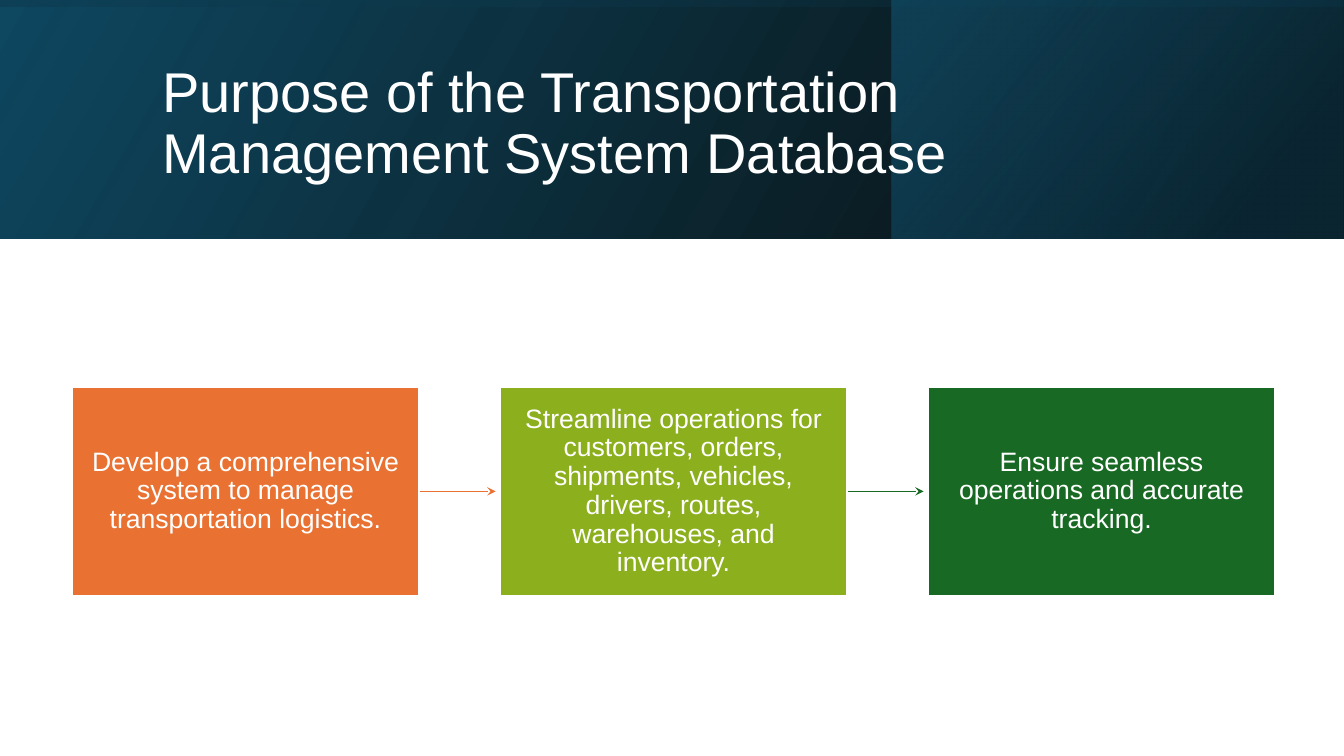
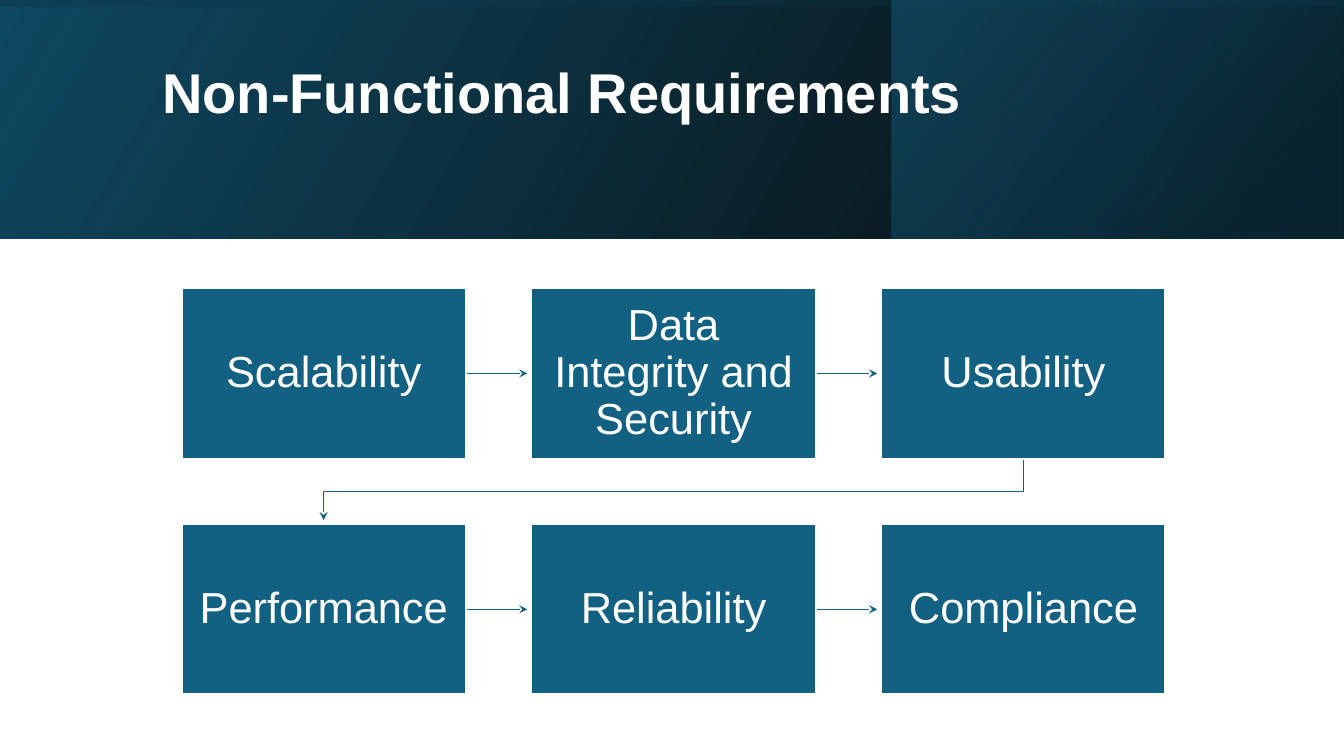
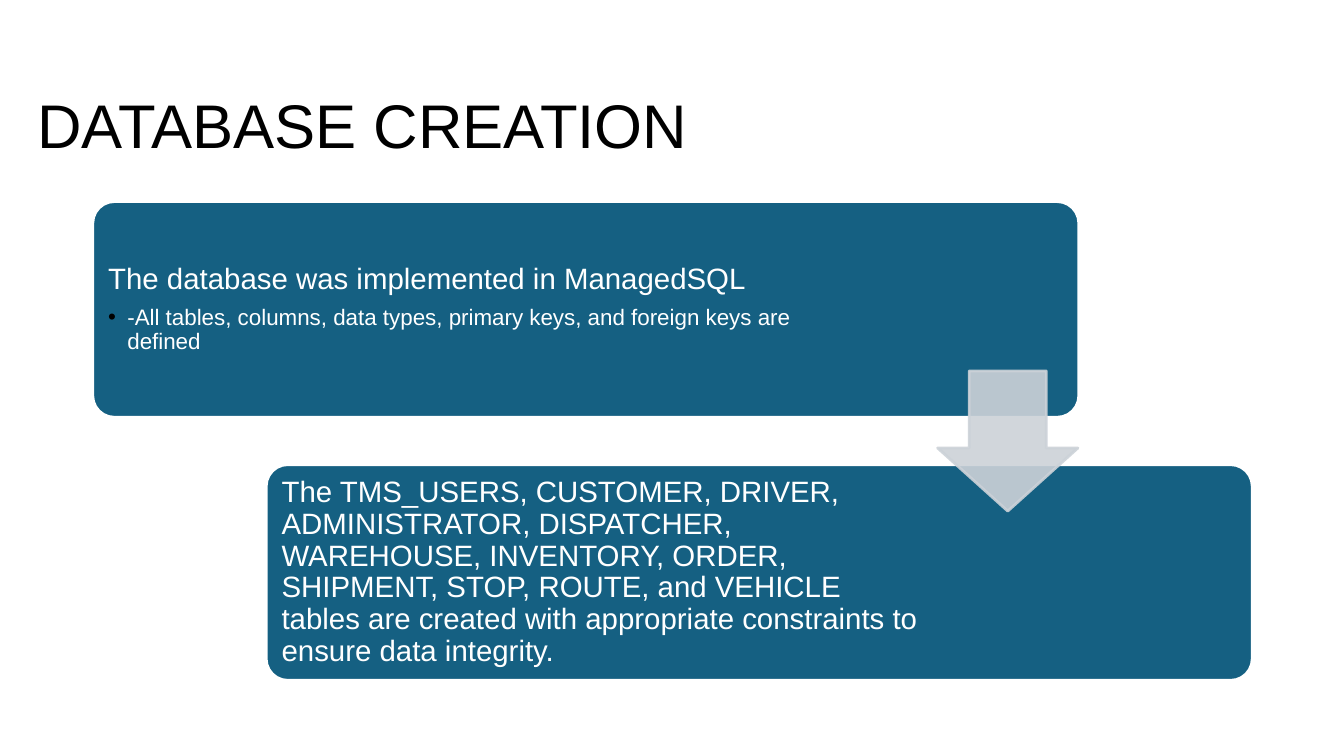
"""Build three slides about a transportation management database."""
from dataclasses import dataclass

from lxml.etree import SubElement
from pptx import Presentation
from pptx.dml.color import RGBColor
from pptx.enum.shapes import MSO_CONNECTOR as Conn, MSO_SHAPE as Shp
from pptx.enum.text import MSO_ANCHOR as Anchor, MSO_AUTO_SIZE as Fit, PP_ALIGN as Align
from pptx.oxml import parse_xml
from pptx.oxml.ns import nsdecls, qn
from pptx.util import Inches, Pt

FONT = "Arial"
WHITE = RGBColor(0xFF, 0xFF, 0xFF)
BLACK = RGBColor(0x00, 0x00, 0x00)
NAVY = RGBColor(0x0F, 0x48, 0x61)
DEEP = RGBColor(0x0A, 0x30, 0x41)
BLUE = RGBColor(0x15, 0x60, 0x82)
TEAL = RGBColor(0x12, 0x60, 0x82)
ORANGE = RGBColor(0xE9, 0x71, 0x31)
LIME = RGBColor(0x8C, 0xAF, 0x1D)
GREEN = RGBColor(0x18, 0x69, 0x23)
GREY = RGBColor(0xCC, 0xD2, 0xD8)
COLUMNS = 3
ARROW_GAP = 0.04


@dataclass(frozen=True)
class Box:
    left: float
    top: float
    width: float
    height: float

    def emu(self) -> list:
        return [Inches(v) for v in (self.left, self.top, self.width, self.height)]


@dataclass(frozen=True)
class Band:
    box: Box
    angle: int
    stops: tuple
    rotation: int = 0


@dataclass(frozen=True)
class Step:
    text: str
    fill: RGBColor = TEAL
    arrow: RGBColor = TEAL


@dataclass(frozen=True)
class Flow:
    first: Box
    span: float
    row_pitch: float
    size: int
    margins: tuple

    def cell(self, i: int) -> Box:
        row, col = divmod(i, COLUMNS)
        b = self.first
        pitch = (self.span - b.width) / (COLUMNS - 1)
        return Box(b.left + col * pitch, b.top + row * self.row_pitch, b.width, b.height)


@dataclass(frozen=True)
class Line:
    text: str
    size: int
    bullet: bool = False


@dataclass(frozen=True)
class Card:
    box: Box
    right_margin: float
    lines: tuple


BANDS = (
    Band(Box(0, 0, 13.33, 2.37), 330, ((0, BLACK, 96), (100, NAVY, 100))),
    Band(Box(8.84, 0, 4.48, 2.37), 320, ((0, DEEP, 68), (19, DEEP, 68), (100, BLUE, 48))),
    Band(Box(5.48, -5.48, 2.37, 13.33), 350,
         ((0, NAVY, 16), (23, NAVY, 16), (99, BLACK, 45), (100, BLACK, 45)), 270),
)
BAND_TITLE = Box(1.51, 0.38, 10.63, 1.72)

PURPOSE_FLOW = Flow(Box(0.71, 3.84, 3.45, 2.07), 11.94, 0, 19, (0.17, 0.18))
PURPOSES = (
    Step("Develop a comprehensive system to manage transportation logistics.", ORANGE, ORANGE),
    Step("Streamline operations for customers, orders, shipments, vehicles, drivers, "
         "routes, warehouses, and inventory.", LIME, GREEN),
    Step("Ensure seamless operations and accurate tracking.", GREEN),
)

REQUIREMENT_FLOW = Flow(Box(1.8, 2.86, 2.82, 1.69), 9.76, 2.34, 31, (0.14, 0.15))
REQUIREMENTS = tuple(Step(t) for t in (
    "Scalability", "Data Integrity and Security", "Usability",
    "Performance", "Reliability", "Compliance"))

CARDS = (
    Card(Box(0.92, 2, 9.78, 2.14), 2.19, (
        Line("The database was implemented in ManagedSQL", 21),
        Line("-All tables, columns, data types, primary keys, and foreign keys are defined",
             16, True))),
    Card(Box(2.64, 4.61, 9.78, 2.14), 3.22, (
        Line("The TMS_USERS, CUSTOMER, DRIVER, ADMINISTRATOR, DISPATCHER, WAREHOUSE, "
             "INVENTORY, ORDER, SHIPMENT, STOP, ROUTE, and VEHICLE tables are created with "
             "appropriate constraints to ensure data integrity.", 21),)),
)


def write(p, text: str, size: int, color: RGBColor, align=Align.LEFT, bold: bool = False) -> None:
    """Add one formatted run to a paragraph."""
    p.alignment = align
    p.line_spacing = 0.9
    r = p.add_run()
    r.text = text
    r.font.name = FONT
    r.font.size = Pt(size)
    r.font.bold = bold
    r.font.color.rgb = color


def set_frame(tf, left: float, top: float, right: float, bottom: float) -> None:
    """Set margins, wrapping and middle anchoring of a text frame."""
    tf.margin_left, tf.margin_top = Inches(left), Inches(top)
    tf.margin_right, tf.margin_bottom = Inches(right), Inches(bottom)
    tf.word_wrap = True
    tf.auto_size = Fit.NONE
    tf.vertical_anchor = Anchor.MIDDLE


def add_block(s, kind, box: Box, fill: RGBColor, line: RGBColor, width: float):
    """Add a filled and outlined preset shape."""
    sp = s.shapes.add_shape(kind, *box.emu())
    sp.shadow.inherit = False
    sp.fill.solid()
    sp.fill.fore_color.rgb = fill
    sp.line.color.rgb = line
    sp.line.width = Pt(width)
    return sp


def add_band(s, band: Band) -> None:
    """Add a mirrored translucent gradient band."""
    sp = s.shapes.add_shape(Shp.RECTANGLE, *band.box.emu())
    sp.shadow.inherit = False
    sp.line.fill.background()
    sp.rotation = band.rotation
    stops = "".join(
        f'<a:gs pos="{pos * 1000}"><a:srgbClr val="{color}">'
        f'<a:alpha val="{alpha * 1000}"/></a:srgbClr></a:gs>'
        for pos, color, alpha in band.stops)
    spPr = sp._element.spPr
    spPr.find(qn("a:xfrm")).set("flipH", "1")
    spPr.find(qn("a:prstGeom")).addnext(parse_xml(
        f'<a:gradFill {nsdecls("a")}><a:gsLst>{stops}</a:gsLst>'
        f'<a:lin ang="{band.angle * 60000}" scaled="0"/></a:gradFill>'))


def add_slide(prs, title: str, box: Box, size: int, color: RGBColor, bands: tuple = (),
              bold: bool = False, bottom: float = 0.05):
    """Add a slide with optional bands behind its title."""
    s = prs.slides.add_slide(prs.slide_layouts[5])
    for band in bands:
        add_band(s, band)
    sp = s.shapes.title
    s.shapes._spTree.append(sp._element)
    sp.left, sp.top, sp.width, sp.height = box.emu()
    set_frame(sp.text_frame, 0.1, 0.05, 0.1, bottom)
    write(sp.text_frame.paragraphs[0], title, size, color, bold=bold)
    return s


def style_arrow(sp, color: RGBColor) -> None:
    """Give a line its colour, width and arrowhead."""
    sp.line.color.rgb = color
    sp.line.width = Pt(1)
    SubElement(sp.line._get_or_add_ln(), qn("a:tailEnd"), type="stealth")


def add_arrow(s, start: Box, end: Box, color: RGBColor) -> None:
    """Join two neighbouring cells, or wrap from one row to the next."""
    if start.top == end.top:
        y = Inches(start.top + start.height / 2)
        sp = s.shapes.add_connector(Conn.STRAIGHT, Inches(start.left + start.width), y,
                                    Inches(end.left - ARROW_GAP), y)
        SubElement(sp._element.spPr, qn("a:effectLst"))
    else:
        x1, x2 = (Inches(b.left + b.width / 2) for b in (start, end))
        y1 = start.top + start.height
        mid = Inches((y1 + end.top) / 2)
        fb = s.shapes.build_freeform(x1, Inches(y1))
        fb.add_line_segments([(x1, mid), (x2, mid), (x2, Inches(end.top - ARROW_GAP))],
                             close=False)
        sp = fb.convert_to_shape()
        sp.shadow.inherit = False
        sp.fill.background()
    style_arrow(sp, color)


def add_flow(s, flow: Flow, steps: tuple) -> None:
    """Draw the steps in rows, each joined to the next."""
    for i, step in enumerate(steps):
        if i + 1 < len(steps):
            add_arrow(s, flow.cell(i), flow.cell(i + 1), step.arrow)
        sp = add_block(s, Shp.RECTANGLE, flow.cell(i), step.fill, WHITE, 1.5)
        set_frame(sp.text_frame, *flow.margins, *flow.margins)
        write(sp.text_frame.paragraphs[0], step.text, flow.size, WHITE, Align.CENTER)


def add_bullet(p) -> None:
    """Give a paragraph a black hanging bullet."""
    pPr = p._p.get_or_add_pPr()
    pPr.set("marL", str(Inches(0.19)))
    pPr.set("indent", str(-Inches(0.19)))
    SubElement(SubElement(pPr, qn("a:buClr")), qn("a:srgbClr"), val=str(BLACK))
    SubElement(pPr, qn("a:buFont"), typeface=FONT)
    SubElement(pPr, qn("a:buChar"), char="•")


def add_card(s, card: Card) -> None:
    """Draw a rounded card with its lines of text."""
    sp = add_block(s, Shp.ROUNDED_RECTANGLE, card.box, BLUE, WHITE, 2)
    sp.adjustments[0] = 0.1
    tf = sp.text_frame
    set_frame(tf, 0.09, 0.09, card.right_margin, 0.09)
    for i, line in enumerate(card.lines):
        p = tf.add_paragraph() if i else tf.paragraphs[0]
        if line.bullet:
            add_bullet(p)
        write(p, line.text, line.size, WHITE)
        if i + 1 < len(card.lines):
            p.space_after = Pt(7)


def add_down_arrow(s, box: Box) -> None:
    """Draw the translucent arrow that links the cards."""
    sp = add_block(s, Shp.DOWN_ARROW, box, GREY, GREY, 2)
    sp.adjustments[0], sp.adjustments[1] = 0.55, 0.45
    for clr in sp._element.spPr.iter(qn("a:srgbClr")):
        SubElement(clr, qn("a:alpha"), val="90000")


def main() -> None:
    """Build and save the presentation."""
    prs = Presentation()
    prs.slide_width, prs.slide_height = Inches(13.33), Inches(7.5)

    s = add_slide(prs, "Purpose of the Transportation Management System Database",
                  BAND_TITLE, 40, WHITE, BANDS)
    add_flow(s, PURPOSE_FLOW, PURPOSES)

    s = add_slide(prs, "Non-Functional Requirements", BAND_TITLE, 40, WHITE, BANDS,
                  bold=True, bottom=0.63)
    add_flow(s, REQUIREMENT_FLOW, REQUIREMENTS)

    s = add_slide(prs, "DATABASE CREATION", Box(0.27, 0.55, 12.63, 1.45), 44, BLACK)
    for card in CARDS:
        add_card(s, card)
    add_down_arrow(s, Box(9.3, 3.68, 1.39, 1.39))

    prs.save("out.pptx")


if __name__ == "__main__":
    main()
